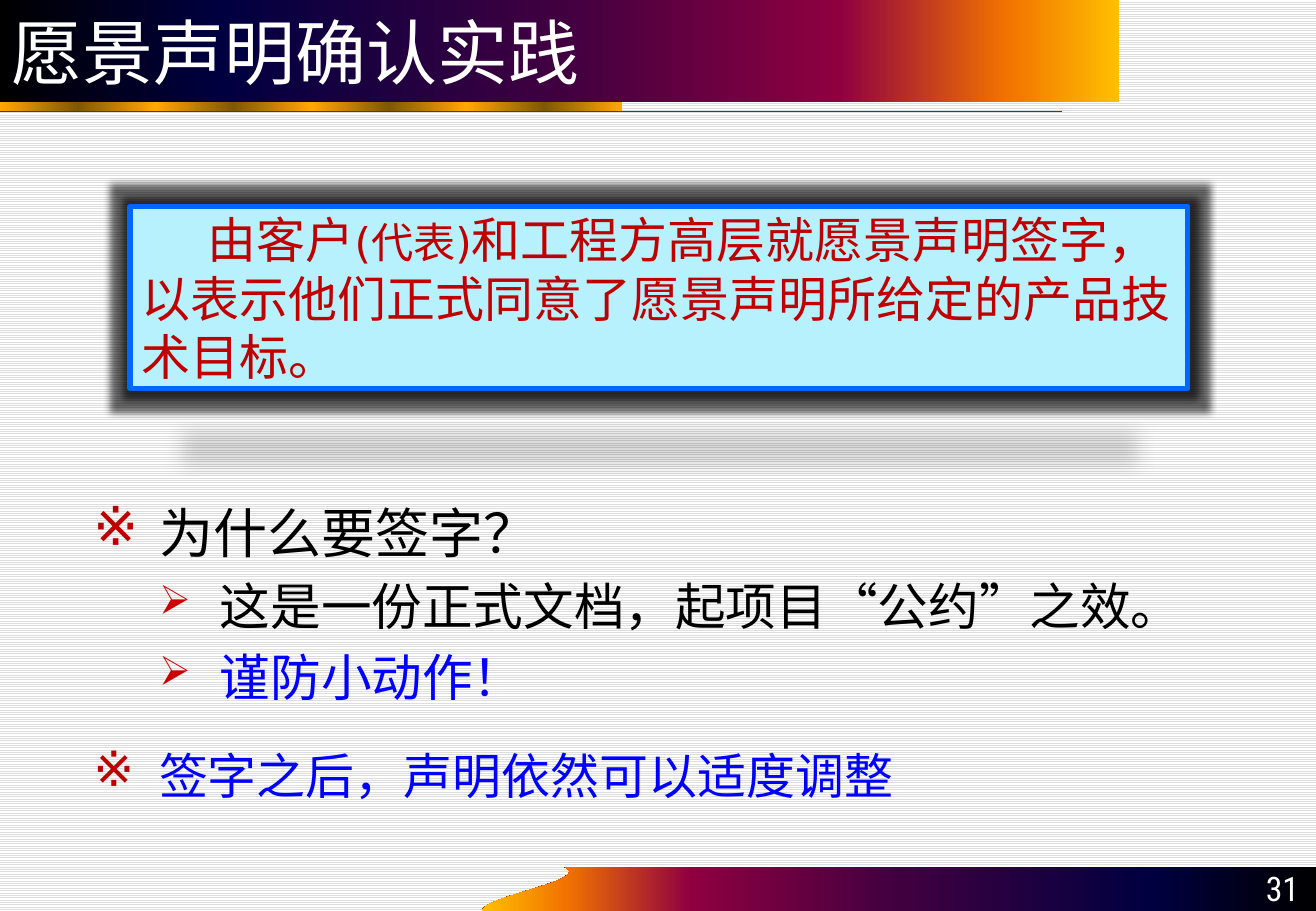
from dataclasses import dataclass
from lxml import etree
from pptx import Presentation
from pptx.dml.color import RGBColor
from pptx.enum.dml import MSO_PATTERN
from pptx.enum.shapes import MSO_CONNECTOR, MSO_SHAPE
from pptx.enum.text import MSO_ANCHOR, PP_ALIGN
from pptx.oxml import parse_xml
from pptx.oxml.ns import nsdecls, qn
from pptx.util import Inches, Pt

RECT = MSO_SHAPE.RECTANGLE
LINE = MSO_CONNECTOR.STRAIGHT
STRIPES = MSO_PATTERN.LIGHT_HORIZONTAL
MIDDLE, BOTTOM, TOP = MSO_ANCHOR.MIDDLE, MSO_ANCHOR.BOTTOM, MSO_ANCHOR.TOP
RIGHT = PP_ALIGN.RIGHT
WIDE, HIGH = 10.83, 7.5


@dataclass(frozen=True)
class Theme:
    white: str = "FFFFFF"
    black: str = "000000"
    stripe: str = "DDDDDD"
    blue: str = "0000FF"
    red: str = "C00000"
    rule: str = "CC0000"
    panel: str = "B8F1FE"
    edge: str = "0067FE"
    gold: str = "FFA800"
    brown: str = "825600"
    sans: str = "DejaVu Sans"
    body: str = "Noto Sans CJK SC"
    digit: str = "Roboto Condensed"
    title: int = 42
    main: int = 32
    sub: int = 30
    note: int = 29
    small: int = 25
    page: int = 20


@dataclass(frozen=True)
class Point:
    text: str
    size: int
    color: str
    bullet: str
    mark: str
    margin: float
    hang: float
    before: float
    scale: int = 100


T = Theme()
SUNSET = [(0, "000000"), (20, "000040"), (50, "400040"),
          (75, "8F0040"), (90, "F27300"), (100, "FFBF00")]
GOLD = [(12.5 * i, T.brown if i % 2 else T.gold) for i in range(9)]
POINTS = [
    Point("为什么要签字？", T.main, T.black, "※", T.red, 0.54, 0.54, 0),
    Point("这是一份正式文档，起项目“公约”之效。", T.sub, T.black, "➢", T.rule, 1.04, 0.5, 6, 80),
    Point("谨防小动作！", T.sub, T.blue, "➢", T.rule, 1.04, 0.5, 6, 80),
    Point("签字之后，声明依然可以适度调整", T.note, T.blue, "※", T.red, 0.54, 0.54, 22),
]


def rgb(code: str) -> RGBColor:
    return RGBColor.from_string(code)


def shade(shape, stops: list, angle: int = 0) -> None:
    """Give a shape a linear gradient and no outline or shadow."""
    shape.shadow.inherit = False
    shape.line.fill.background()
    shape.fill.gradient()
    grad = shape._element.spPr.find(qn("a:gradFill"))
    marks = "".join(f'<a:gs pos="{int(pos * 1000)}"><a:srgbClr val="{code}"/></a:gs>'
                    for pos, code in stops)
    fresh = parse_xml(f'<a:gradFill {nsdecls("a")} rotWithShape="1"><a:gsLst>{marks}</a:gsLst>'
                      f'<a:lin ang="{angle * 60000}" scaled="0"/></a:gradFill>')
    grad.getparent().replace(grad, fresh)


def style(para, name: str, color: str, size: int | None = None) -> None:
    """Set the font of a paragraph, for Latin and East Asian text alike."""
    font = para.font
    font.name = name
    font.color.rgb = rgb(color)
    if size:
        font.size = Pt(size)
    latin = font._element.find(qn("a:latin"))
    east = etree.Element(qn("a:ea"), typeface=name)
    latin.addnext(east)


def frame(shape, anchor):
    text = shape.text_frame
    text.word_wrap = True
    text.vertical_anchor = anchor
    return text


def block(slide, left: float, top: float, width: float, height: float):
    return slide.shapes.add_shape(RECT, Inches(left), Inches(top), Inches(width), Inches(height))


def box(slide, left: float, top: float, width: float, height: float, anchor):
    shape = slide.shapes.add_textbox(Inches(left), Inches(top), Inches(width), Inches(height))
    return frame(shape, anchor)


def banner(slide) -> None:
    shade(block(slide, 0, 0.76, 5.12, 0.16), GOLD)
    rule = slide.shapes.add_connector(LINE, 0, Inches(0.92), Inches(8.74), Inches(0.92))
    rule.line.color.rgb = rgb(T.rule)
    rule.line.width = Pt(0.75)
    etree.SubElement(rule._element.spPr, qn("a:effectLst"))
    head = block(slide, 0, 0, 9.21, 0.84)
    shade(head, SUNSET)
    para = frame(head, MIDDLE).paragraphs[0]
    para.alignment = PP_ALIGN.LEFT
    para.text = "愿景声明确认实践"
    style(para, T.sans, T.white, T.title)


def footer(slide) -> None:
    """Draw the bottom band, whose left end follows a cubic curve."""
    ends = [(3.97, 7.5), (3.97, 7.38), (4.87, 7.25), (4.65, 7.14)]
    curve = []
    for step in range(25):
        t = step / 24
        parts = [(1 - t) ** 3, 3 * t * (1 - t) ** 2, 3 * t * t * (1 - t), t ** 3]
        curve.append(tuple(Inches(sum(w * p[axis] for w, p in zip(parts, ends)))
                           for axis in (0, 1)))
    build = slide.shapes.build_freeform(*curve[0])
    corners = [(Inches(WIDE), Inches(7.14)), (Inches(WIDE), Inches(HIGH))]
    build.add_line_segments(curve[1:] + corners, close=True)
    shade(build.convert_to_shape(), SUNSET, 180)
    para = box(slide, 9.83, 7.13, 0.96, 0.4, BOTTOM).paragraphs[0]
    para.alignment = RIGHT
    para.text = "31"
    style(para, T.digit, T.white, T.page)


def panel(slide) -> None:
    shape = block(slide, 1.07, 1.7, 8.7, 1.5)
    shape.shadow.inherit = False
    shape.fill.solid()
    shape.fill.fore_color.rgb = rgb(T.panel)
    shape.line.color.rgb = rgb(T.edge)
    shape.line.width = Pt(3)
    effects = shape._element.spPr.find(qn("a:effectLst"))
    for tag, alpha in ((f'glow {nsdecls("a")} rad="{Pt(8)}"', 60),
                       (f'outerShdw {nsdecls("a")} blurRad="{Pt(12)}" dist="{Pt(25)}" '
                        'dir="5400000" sx="90000" sy="-19000" rotWithShape="0"', 15)):
        effects.append(parse_xml(f'<a:{tag}><a:srgbClr val="{T.black}"><a:alpha val="{alpha * 1000}"/>'
                                 f'</a:srgbClr></a:{tag.split()[0]}>'))
    para = frame(shape, MIDDLE).paragraphs[0]
    para.alignment = PP_ALIGN.LEFT
    para._p.get_or_add_pPr().set("indent", str(Inches(0.54)))
    style(para, T.sans, T.red)
    for text, size in (("由客户", T.note), ("(代表)", T.small),
                       ("和工程方高层就愿景声明签字，以表示他们正式同意了愿景声明所给定的产品技术目标。", T.note)):
        run = para.add_run()
        run.text = text
        run.font.size = Pt(size)


def points(slide) -> None:
    text = box(slide, 0.67, 4.1, 9.52, 2.72, TOP)
    for i, point in enumerate(POINTS):
        para = text.add_paragraph() if i else text.paragraphs[0]
        para.text = point.text
        props = para._p.get_or_add_pPr()
        props.set("marL", str(Inches(point.margin)))
        props.set("indent", str(-Inches(point.hang)))
        color = etree.SubElement(props, qn("a:buClr"))
        etree.SubElement(color, qn("a:srgbClr"), val=point.mark)
        etree.SubElement(props, qn("a:buSzPct"), val=str(point.scale * 1000))
        etree.SubElement(props, qn("a:buChar"), char=point.bullet)
        para.line_spacing = Pt(36)
        para.space_before = Pt(point.before)
        style(para, T.body, point.color, point.size)


def main() -> None:
    deck = Presentation()
    deck.slide_width, deck.slide_height = Inches(WIDE), Inches(HIGH)
    slide = deck.slides.add_slide(deck.slide_layouts[6])
    back = slide.background.fill
    back.patterned()
    back.pattern = STRIPES
    back.fore_color.rgb = rgb(T.stripe)
    back.back_color.rgb = rgb(T.white)
    banner(slide)
    points(slide)
    footer(slide)
    panel(slide)
    deck.save("out.pptx")


if __name__ == "__main__":
    main()
